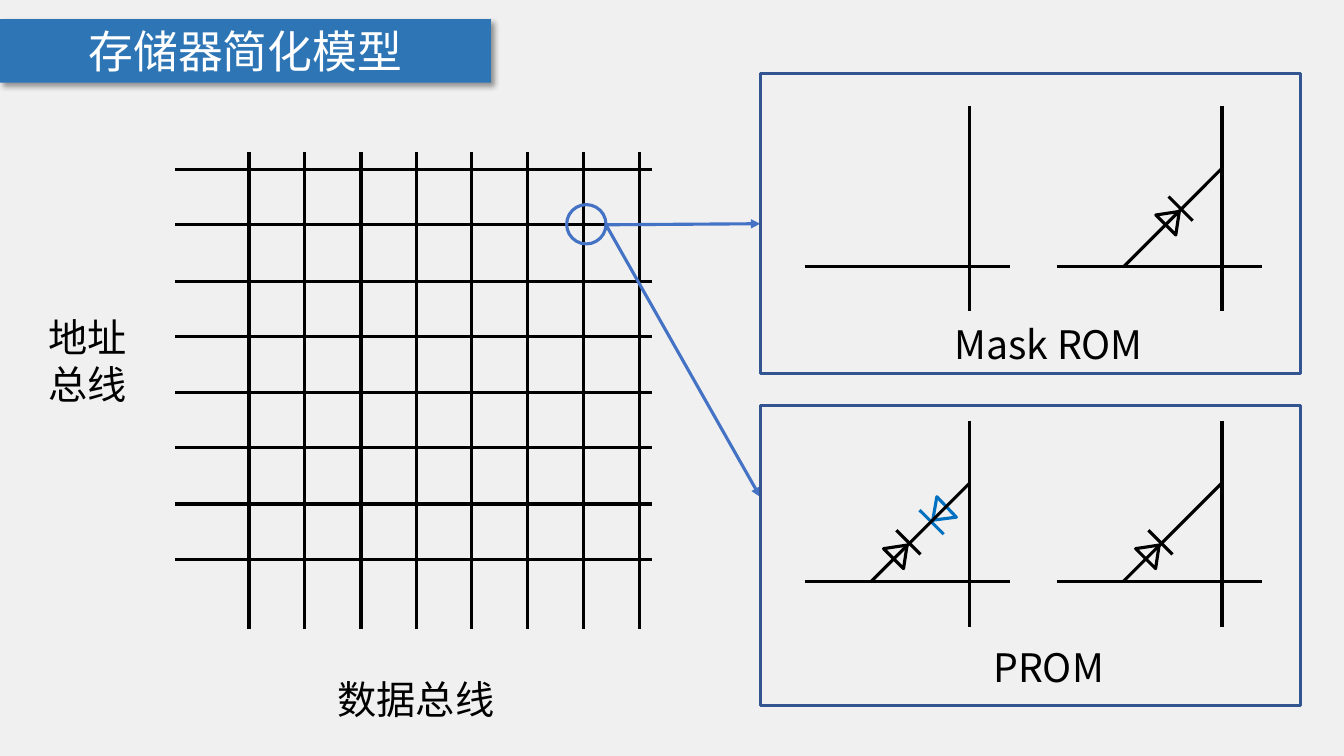
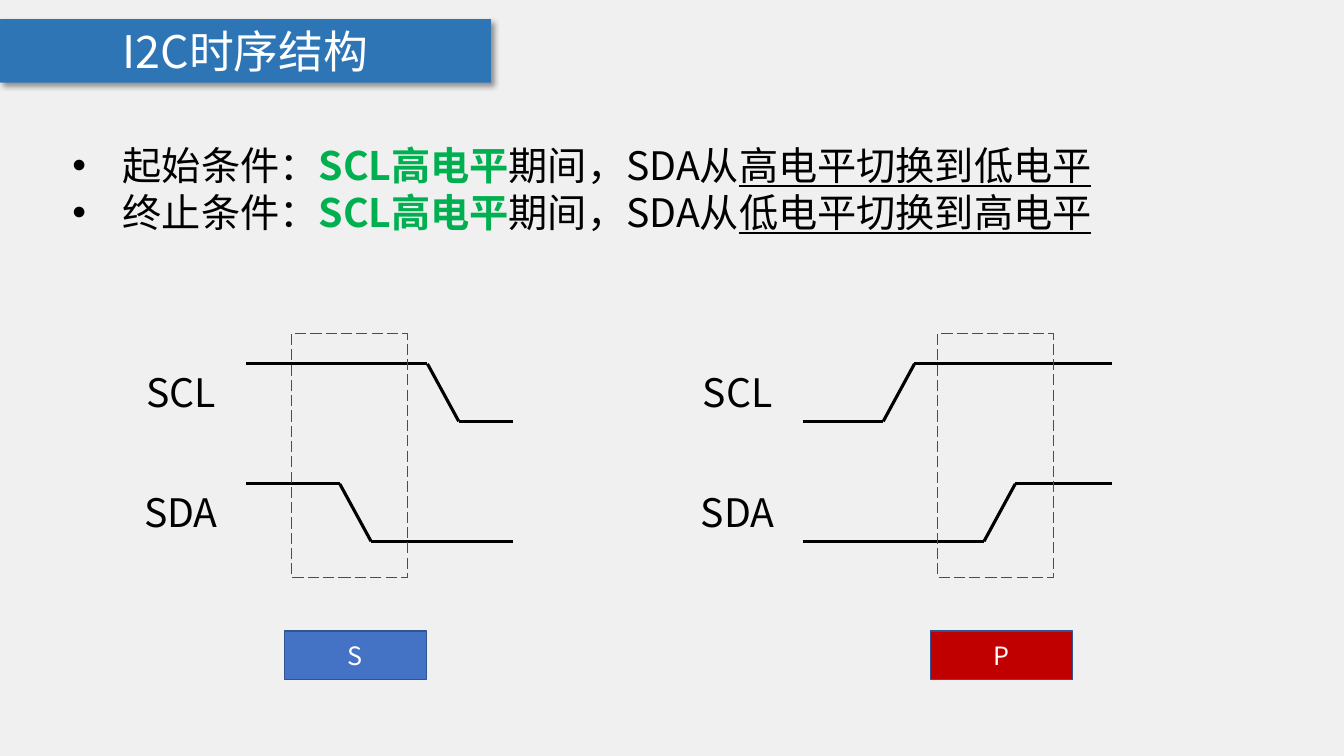
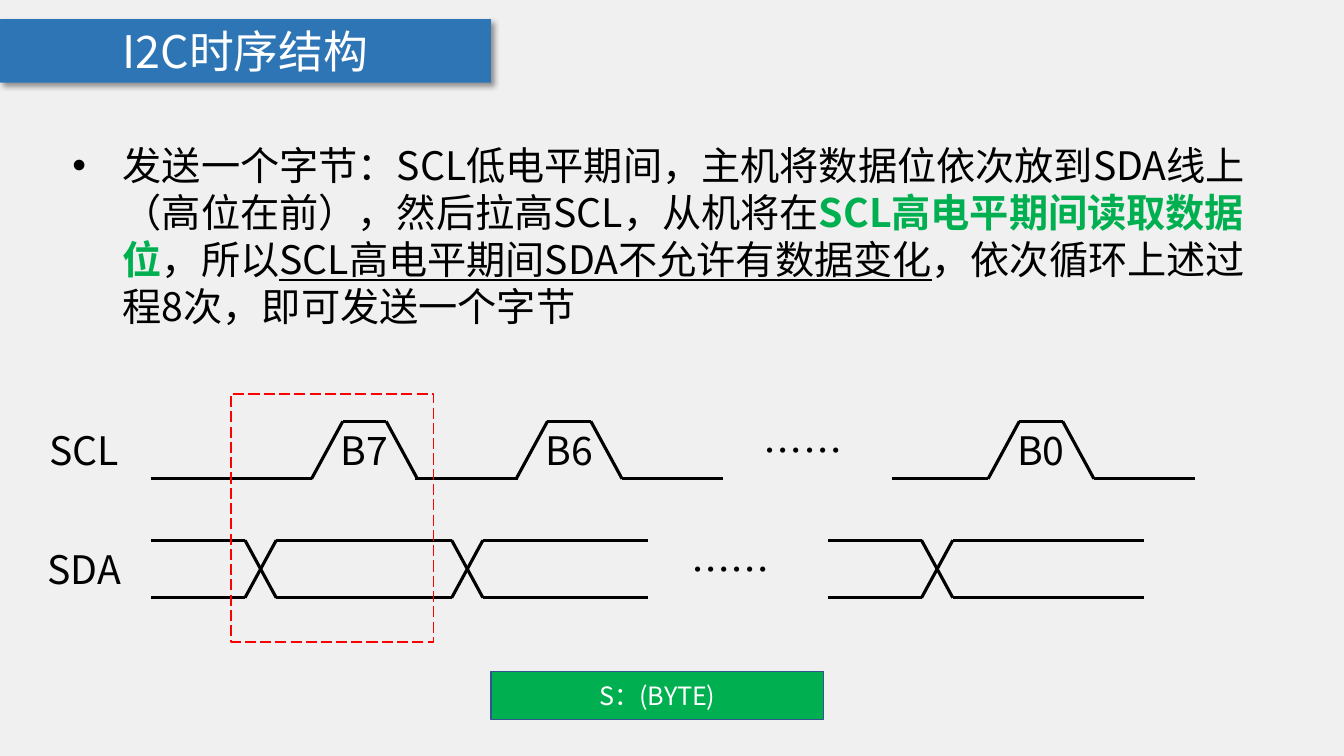
from dataclasses import dataclass
from itertools import pairwise

from lxml.etree import SubElement
from pptx import Presentation
from pptx.dml.color import RGBColor
from pptx.enum.dml import MSO_LINE_DASH_STYLE as Dash
from pptx.enum.shapes import MSO_CONNECTOR as Link, MSO_SHAPE as Preset
from pptx.enum.text import MSO_ANCHOR as Anchor, MSO_AUTO_SIZE as AutoSize, PP_ALIGN as Align
from pptx.oxml.ns import qn
from pptx.shapes.autoshape import Shape
from pptx.shapes.connector import Connector
from pptx.slide import Slide
from pptx.text.text import TextFrame
from pptx.util import Emu, Pt


@dataclass(frozen=True)
class Theme:
    font: str = "Noto Sans CJK SC"
    paper: str = "F0F0F0"
    band: str = "2E75B6"
    ink: str = "000000"
    white: str = "FFFFFF"
    accent: str = "4472C4"
    edge: str = "325491"
    green: str = "00B050"
    stop: str = "C00000"
    window: str = "FF0000"
    breakdown: str = "0070C0"
    title_pt: int = 32
    body_pt: int = 28
    chip_pt: int = 18
    leading_pt: float = 33.6
    stroke_pt: float = 2.25
    thin_pt: int = 1


@dataclass(frozen=True)
class Box:
    left: int
    top: int
    width: int
    height: int


@dataclass(frozen=True)
class Run:
    text: str
    strong: bool = False
    underline: bool = False


@dataclass(frozen=True)
class Diode:
    dx: int
    dy: int
    color: str
    rotation: float = 45


@dataclass(frozen=True)
class Cell:
    left: int
    word_y: int
    branch_dx: int
    diodes: tuple[Diode, ...] = ()


@dataclass(frozen=True)
class Edge:
    start: int
    slope: int
    end: int
    top: int
    rising: bool


@dataclass(frozen=True)
class Bit:
    name: str
    clock_start: int
    peak: int
    data_start: int
    data_end: int


THEME = Theme()
PX = 9144
SWING = 57
SLOPE = 31
LABEL_WIDTH = 129
Point = tuple[int, int]


def px(length: int) -> Emu:
    return Emu(length * PX)


def rgb(color: str) -> RGBColor:
    return RGBColor.from_string(color)


def add_run(paragraph, run: Run, size: int, color: str) -> None:
    part = paragraph.add_run()
    part.text = run.text
    font = part.font
    font.size = Pt(size)
    font.bold = run.strong
    font.underline = run.underline
    font.color.rgb = rgb(THEME.green if run.strong else color)
    font.name = THEME.font
    SubElement(font._element, qn("a:ea")).set("typeface", THEME.font)


def centre_text(frame: TextFrame, text: str, size: int, color: str) -> None:
    frame.word_wrap = True
    frame.auto_size = AutoSize.NONE
    frame.vertical_anchor = Anchor.MIDDLE
    frame.paragraphs[0].alignment = Align.CENTER
    add_run(frame.paragraphs[0], Run(text), size, color)


def add_text(slide: Slide, box: Box, rows: list[list[Run]], bullets: bool = False) -> None:
    frame = slide.shapes.add_textbox(
        px(box.left), px(box.top), px(box.width), px(box.height)
    ).text_frame
    frame.word_wrap = True
    frame.auto_size = AutoSize.NONE
    for index, row in enumerate(rows):
        paragraph = frame.add_paragraph() if index else frame.paragraphs[0]
        paragraph.line_spacing = Pt(THEME.leading_pt)
        paragraph.alignment = Align.LEFT if bullets else Align.CENTER
        if bullets:
            properties = paragraph._p.get_or_add_pPr()
            properties.set("marL", str(px(50)))
            properties.set("indent", str(-px(50)))
            SubElement(properties, qn("a:buFont")).set("typeface", "Arial")
            SubElement(properties, qn("a:buChar")).set("char", "•")
        for run in row:
            add_run(paragraph, run, THEME.body_pt, THEME.ink)


def add_label(slide: Slide, left: int, top: int, width: int, *lines: str) -> None:
    height = 10 + 47 * len(lines)
    add_text(slide, Box(left, top, width, height), [[Run(line)] for line in lines])


def add_outline(slide: Slide, preset: Preset, box: Box, color: str,
                width: float = THEME.stroke_pt) -> Shape:
    outline = slide.shapes.add_shape(
        preset, px(box.left), px(box.top), px(box.width), px(box.height)
    )
    outline.shadow.inherit = False
    outline.fill.background()
    outline.line.color.rgb = rgb(color)
    outline.line.width = Pt(width)
    return outline


def add_window(slide: Slide, box: Box) -> None:
    window = add_outline(slide, Preset.RECTANGLE, box, THEME.window, THEME.thin_pt)
    window.line.dash_style = Dash.LONG_DASH


def add_chip(slide: Slide, box: Box, text: str, color: str) -> None:
    chip = add_outline(slide, Preset.RECTANGLE, box, THEME.edge, THEME.thin_pt)
    chip.fill.solid()
    chip.fill.fore_color.rgb = rgb(color)
    centre_text(chip.text_frame, text, THEME.chip_pt, THEME.white)


def add_line(slide: Slide, start: Point, end: Point, color: str = THEME.ink) -> Connector:
    line = slide.shapes.add_connector(Link.STRAIGHT, *map(px, start + end))
    line.line.color.rgb = rgb(color)
    line.line.width = Pt(THEME.stroke_pt)
    SubElement(line._element.spPr, qn("a:effectLst"))
    return line


def add_arrow(slide: Slide, start: Point, end: Point) -> Connector:
    arrow = add_line(slide, start, end, THEME.accent)
    SubElement(arrow.line._get_or_add_ln(), qn("a:tailEnd")).set("type", "triangle")
    return arrow


def add_trace(slide: Slide, *points: Point) -> None:
    for start, end in pairwise(points):
        add_line(slide, start, end)


def add_titled_slide(deck, title: str) -> Slide:
    slide = deck.slides.add_slide(deck.slide_layouts[5])
    band = slide.shapes.title
    band.left, band.top, band.width, band.height = map(px, (0, 19, 487, 63))
    band.fill.solid()
    band.fill.fore_color.rgb = rgb(THEME.band)
    band.line.fill.background()
    band.shadow.inherit = False
    effects = band._element.spPr.find(qn("a:effectLst"))
    shadow = SubElement(effects, qn("a:outerShdw"), blurRad=str(Pt(4)), dist=str(Pt(3)),
                        dir="2700000", algn="tl", rotWithShape="0")
    shade = SubElement(shadow, qn("a:srgbClr"), val=THEME.ink)
    SubElement(shade, qn("a:alpha"), val="40000")
    centre_text(band.text_frame, title, THEME.title_pt, THEME.white)
    return slide


def add_diode(slide: Slide, left: int, top: int, diode: Diode) -> None:
    triangle = add_outline(slide, Preset.ISOSCELES_TRIANGLE, Box(left, top, 28, 19), diode.color)
    triangle.rotation = diode.rotation
    sign = -1 if diode.rotation > 180 else 1
    bar_x, bar_y = left + 14 + 8 * sign, top + 9 - 9 * sign
    add_line(slide, (bar_x + 12, bar_y + 12), (bar_x - 12, bar_y - 12), diode.color)


def add_cell(slide: Slide, cell: Cell) -> None:
    bit_x, y = cell.left + 164, cell.word_y
    add_line(slide, (cell.left, y), (cell.left + 204, y))
    add_line(slide, (bit_x, y - 159), (bit_x, y + 45))
    branch = cell.left + cell.branch_dx
    for diode in cell.diodes:
        add_diode(slide, branch + diode.dx, y + diode.dy, diode)
    if cell.diodes:
        add_line(slide, (branch, y), (branch + 97, y - 97))


def add_edge(slide: Slide, name: str, edge: Edge) -> None:
    high, low = edge.top, edge.top + SWING
    before, after = (low, high) if edge.rising else (high, low)
    add_trace(slide, (edge.start, before), (edge.slope, before),
              (edge.slope + SLOPE, after), (edge.end, after))
    add_label(slide, edge.start - LABEL_WIDTH, edge.top, LABEL_WIDTH, name)


def add_bit(slide: Slide, bit: Bit, scl_top: int, sda_top: int) -> None:
    low, peak = scl_top + SWING, bit.peak
    add_trace(slide, (bit.clock_start, low), (peak - SLOPE, low), (peak, scl_top),
              (peak + 43, scl_top), (peak + 43 + SLOPE, low), (peak + 174, low))
    cross = bit.data_start + 93
    levels = (sda_top, sda_top + SWING)
    for before, after in (levels, levels[::-1]):
        add_trace(slide, (bit.data_start, before), (cross, before),
                  (cross + SLOPE, after), (bit.data_end, after))
    add_label(slide, peak - 25, scl_top, 93, bit.name)


def build_memory(deck) -> None:
    slide = add_titled_slide(deck, "存储器简化模型")
    for index in range(8):
        offset = round(387 * index / 7)
        add_line(slide, (174, 168 + offset), (647, 168 + offset))
        add_line(slide, (247 + offset, 624), (247 + offset, 151))
    add_label(slide, 0, 306, 173, "地址", "总线")
    add_label(slide, 312, 665, 201, "数据总线")
    add_outline(slide, Preset.OVAL, Box(562, 203, 39, 39), THEME.accent)

    programmed = Diode(15, -39, THEME.ink)
    cells = (
        Cell(798, 264, 0),
        Cell(1048, 264, 67, (Diode(34, -57, THEME.ink),)),
        Cell(798, 577, 66, (programmed, Diode(54, -77, THEME.breakdown, 226.3))),
        Cell(1048, 577, 66, (programmed,)),
    )
    for cell in cells:
        add_cell(slide, cell)
    add_label(slide, 915, 313, 250, "Mask ROM")
    add_label(slide, 915, 633, 250, "PROM")

    mask_arrow = add_arrow(slide, (601, 223), (754, 222))
    add_arrow(slide, (601, 223), (754, 493))
    mask_panel, _ = [
        add_outline(slide, Preset.RECTANGLE, Box(754, top, 536, 298), THEME.edge)
        for top in (73, 402)
    ]
    mask_arrow.end_connect(mask_panel, 1)


def build_conditions(deck) -> None:
    slide = add_titled_slide(deck, "I2C时序结构")
    conditions = (("起始条件：", "高电平切换到低电平"), ("终止条件：", "低电平切换到高电平"))
    add_text(slide, Box(62, 135, 1208, 104), [
        [Run(name), Run("SCL高电平", strong=True), Run("期间，SDA从"),
         Run(change, underline=True)]
        for name, change in conditions
    ], bullets=True)
    edges = (
        ("SCL", Edge(244, 424, 509, 361, False)),
        ("SDA", Edge(244, 337, 509, 480, False)),
        ("SCL", Edge(796, 876, 1103, 361, True)),
        ("SDA", Edge(796, 976, 1103, 480, True)),
    )
    for name, edge in edges:
        add_edge(slide, name, edge)
    for left, code, color in ((289, "S", THEME.accent), (930, "P", THEME.stop)):
        add_window(slide, Box(left, 331, 115, 242))
        add_chip(slide, Box(left - 7, 626, 141, 48), code, color)


def build_send_byte(deck) -> None:
    slide = add_titled_slide(deck, "I2C时序结构")
    add_text(slide, Box(62, 135, 1208, 246), [[
        Run("发送一个字节：SCL低电平期间，主机将数据位依次放到SDA线上（高位在前），"
            "然后拉高SCL，从机将在"),
        Run("SCL高电平期间读取数据位", strong=True),
        Run("，所以"),
        Run("SCL高电平期间SDA不允许有数据变化", underline=True),
        Run("，依次循环上述过程8次，即可发送一个字节"),
    ]], bullets=True)
    scl_top, sda_top = 418, 536
    for name, top, gap_left in (("SCL", scl_top, 732), ("SDA", sda_top, 660)):
        add_label(slide, 19, top, LABEL_WIDTH, name)
        add_label(slide, gap_left, top, LABEL_WIDTH, "……")
    bits = (
        Bit("B7", 150, 340, 150, 374),
        Bit("B6", 412, 543, 355, 643),
        Bit("B0", 885, 1011, 821, 1135),
    )
    for bit in bits:
        add_bit(slide, bit, scl_top, sda_top)
    add_window(slide, Box(229, 391, 201, 246))
    add_chip(slide, Box(487, 666, 330, 48), "S：(BYTE)", THEME.green)


def main() -> None:
    deck = Presentation()
    deck.slide_width, deck.slide_height = px(1333), px(750)
    paper = deck.slide_master.background.fill
    paper.solid()
    paper.fore_color.rgb = rgb(THEME.paper)
    build_memory(deck)
    build_conditions(deck)
    build_send_byte(deck)
    deck.save("out.pptx")


if __name__ == "__main__":
    main()
